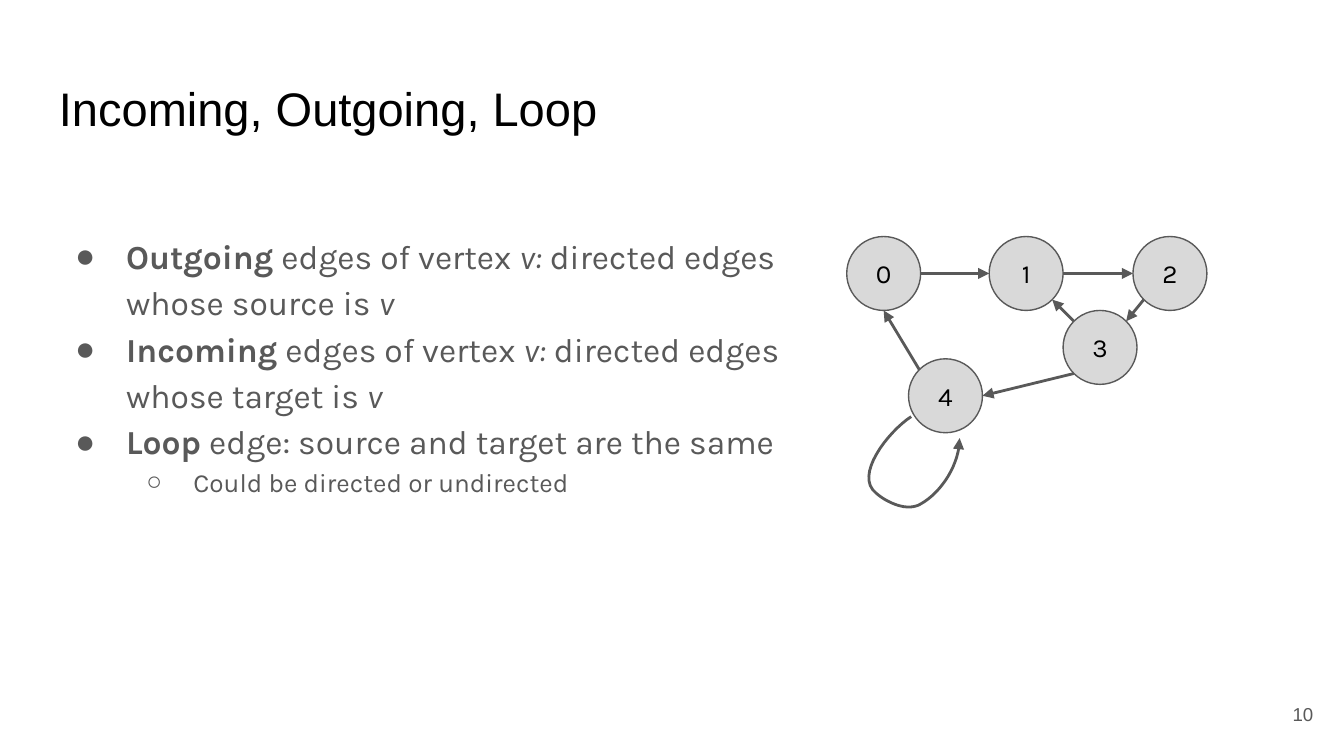
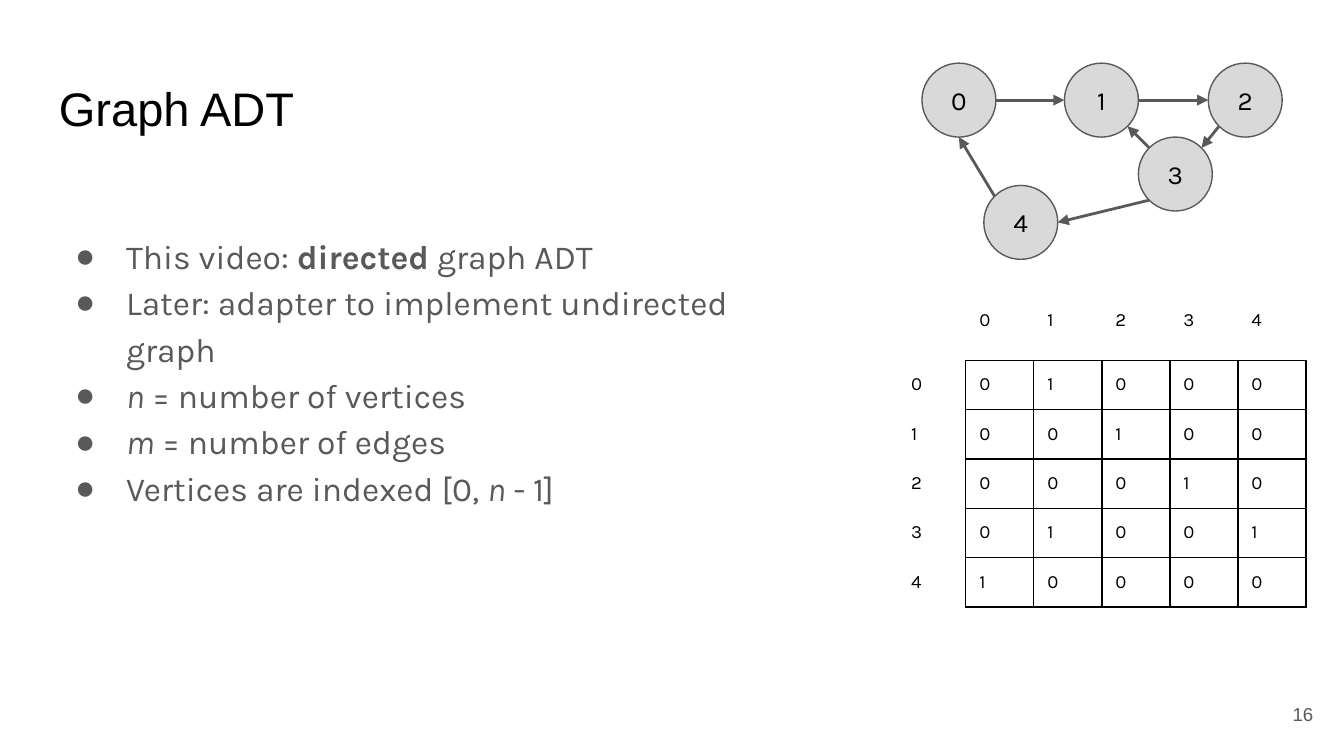
"""Build two slides on directed graphs: edge kinds and the graph ADT."""
from math import cos, pi, sin

from lxml import etree
from pptx import Presentation
from pptx.dml.color import RGBColor
from pptx.enum.shapes import MSO_CONNECTOR, MSO_SHAPE
from pptx.enum.text import MSO_ANCHOR, PP_ALIGN
from pptx.oxml.ns import qn
from pptx.util import Inches, Pt

STRAIGHT, ELLIPSE = MSO_CONNECTOR.STRAIGHT, MSO_SHAPE.OVAL
TOP, MIDDLE = MSO_ANCHOR.TOP, MSO_ANCHOR.MIDDLE
LEFT, CENTER, RIGHT = PP_ALIGN.LEFT, PP_ALIGN.CENTER, PP_ALIGN.RIGHT
BLACK, GREY, LIGHT = "000000", "595959", "D9D9D9"
HEAD_FONT, BODY_FONT = "Arial", "Karla"
WIDTH = 10
HEIGHT = WIDTH * 9 / 16
MARGIN = 0.1

BULLETS = [("●", 0.5, -0.38, 18), ("○", 1, -0.35, 14)]
DIAMETER = 0.55
NODES = [(0, 0), (1.06, 0), (2.13, 0), (1.61, 0.55), (0.46, 0.91)]
EAST, SOUTHEAST, SOUTH, SOUTHWEST, WEST, NORTHWEST, NORTH, NORTHEAST = range(8)
EDGES = [(0, EAST, 1, WEST), (1, EAST, 2, WEST),
         (2, SOUTHWEST, 3, NORTHEAST), (3, NORTHWEST, 1, SOUTHEAST),
         (3, SOUTHWEST, 4, EAST), (4, NORTHWEST, 0, SOUTH)]
LOOP_START = (0.48, 1.34)
LOOP_CURVES = [[(0.31, 1.45), (0.05, 1.78), (0.22, 1.91)],
               [(0.30, 1.98), (0.45, 2.05), (0.55, 1.99)],
               [(0.71, 1.90), (0.84, 1.69), (0.84, 1.50)]]
LOOP_STEPS = 16

SLIDES = [
    {"title": "Incoming, Outgoing, Loop", "number": "10",
     "body_width": 5.82, "graph": (6.3, 1.76), "loop": True, "matrix": False,
     "body": [
         (0, [("Outgoing", "b"), (" edges of vertex ", ""), ("v:", "i"),
              (" directed edges whose source is ", ""), ("v", "i")]),
         (0, [("Incoming", "b"), (" edges of vertex ", ""), ("v:", "i"),
              (" directed edges whose target is ", ""), ("v", "i")]),
         (0, [("Loop", "b"), (" edge: source and target are the same", "")]),
         (1, [("Could be directed or undirected", "")])]},
    {"title": "Graph ADT", "number": "16",
     "body_width": 5.57, "graph": (6.86, 0.47), "loop": False, "matrix": True,
     "body": [
         (0, [("This video: ", ""), ("directed", "b"), (" graph ADT", "")]),
         (0, [("Later: adapter to implement undirected graph", "")]),
         (0, [("n", "i"), (" = number of vertices", "")]),
         (0, [("m", "i"), (" = number of edges", "")]),
         (0, [("Vertices are indexed [0, ", ""), ("n", "i"), (" - 1]", "")])]},
]


def color(hex_string):
    return RGBColor.from_string(hex_string)


def write(frame, runs, size, font, ink, align=LEFT, anchor=TOP, para=None):
    settings = {"word_wrap": True, "vertical_anchor": anchor}
    for side in ("left", "right", "top", "bottom"):
        settings["margin_" + side] = Inches(MARGIN)
    for name, value in settings.items():
        setattr(frame, name, value)
    para = para or frame.paragraphs[0]
    para.alignment = align
    for text, style in runs:
        span = para.add_run()
        span.text = text
        look = {"size": Pt(size), "name": font,
                "bold": "b" in style, "italic": "i" in style}
        for name, value in look.items():
            setattr(span.font, name, value)
        span.font.color.rgb = color(ink)


deck = Presentation()
deck.slide_width, deck.slide_height = Inches(WIDTH), Inches(HEIGHT)

for content in SLIDES:
    page = deck.slides.add_slide(deck.slide_layouts[6])

    title = page.shapes.add_textbox(*map(Inches, (0.34, 0.49, 9.32, 0.63)))
    write(title.text_frame, [(content["title"], "")], 25.2, HEAD_FONT, BLACK)

    body = page.shapes.add_textbox(
        *map(Inches, (0.34, 1.61, content["body_width"], 3.39)))
    for index, (level, runs) in enumerate(content["body"]):
        frame = body.text_frame
        para = frame.add_paragraph() if index else frame.paragraphs[0]
        mark, indent, hanging, size = BULLETS[level]
        para.level, para.line_spacing = level, 1.15
        props = para._p.get_or_add_pPr()
        props.set("marL", str(Inches(indent)))
        props.set("indent", str(Inches(hanging)))
        tint = etree.SubElement(props, qn("a:buClr"))
        etree.SubElement(tint, qn("a:srgbClr"), val=GREY)
        etree.SubElement(props, qn("a:buFont"), typeface=HEAD_FONT)
        etree.SubElement(props, qn("a:buChar"), char=mark)
        write(frame, runs, size, BODY_FONT, GREY, para=para)

    number = page.shapes.add_textbox(*map(Inches, (9.27, 5.1, 0.6, 0.43)))
    write(number.text_frame, [(content["number"], "")], 10, HEAD_FONT, GREY,
          RIGHT, MIDDLE)

    left, top = content["graph"]
    graph = page.shapes.add_group_shape()
    for label, (x, y) in enumerate(NODES):
        node = graph.shapes.add_shape(
            ELLIPSE, *map(Inches, (left + x, top + y, DIAMETER, DIAMETER)))
        node.shadow.inherit = False
        node.fill.solid()
        node.fill.fore_color.rgb = color(LIGHT)
        node.line.color.rgb = color(GREY)
        node.line.width = Pt(0.75)
        write(node.text_frame, [(str(label), "")], 14, BODY_FONT, BLACK,
              CENTER, MIDDLE)

    arrows = []
    radius = DIAMETER / 2
    for source, leave, target, arrive in EDGES:
        ends = []
        for vertex, eighth in ((source, leave), (target, arrive)):
            x, y = NODES[vertex]
            ends += [left + x + radius * (1 + cos(eighth * pi / 4)),
                     top + y + radius * (1 + sin(eighth * pi / 4))]
        arrows.append(graph.shapes.add_connector(STRAIGHT, *map(Inches, ends)))

    if content["loop"]:
        points, start = [], LOOP_START
        for first, second, end in LOOP_CURVES:
            for step in range(1, LOOP_STEPS + 1):
                t = step / LOOP_STEPS
                weights = ((1 - t) ** 3, 3 * t * (1 - t) ** 2,
                           3 * t ** 2 * (1 - t), t ** 3)
                x, y = (sum(w * p for w, p in zip(weights, axis))
                        for axis in zip(start, first, second, end))
                points.append((Inches(left + x), Inches(top + y)))
            start = end
        outline = page.shapes.build_freeform(
            Inches(left + LOOP_START[0]), Inches(top + LOOP_START[1]))
        outline.add_line_segments(points, close=False)
        loop = outline.convert_to_shape()
        loop.fill.background()
        arrows.append(loop)

    for arrow in arrows:
        arrow.line.color.rgb = color(GREY)
        arrow.line.width = Pt(1.5)
        etree.SubElement(arrow.line._get_or_add_ln(), qn("a:tailEnd"),
                         type="triangle")
        etree.SubElement(arrow._element.spPr, qn("a:effectLst"))

    if content["matrix"]:
        count = len(NODES)
        links = {(source, target) for source, _, target, _ in EDGES}
        table_width, header, row_height = 3.04, 0.48, 0.36
        column = table_width / (count + 1)
        table = page.shapes.add_table(
            count + 1, count + 1,
            *map(Inches, (6.68, 2.2, table_width,
                          header + row_height * count))).table
        table.first_row = table.horz_banding = False
        for index in range(count + 1):
            table.columns[index].width = Inches(column)
            table.rows[index].height = Inches(row_height if index else header)
        for row in range(count + 1):
            for col in range(count + 1):
                cell = table.cell(row, col)
                if row and col:
                    text = str(int((row - 1, col - 1) in links))
                else:
                    text = str(row + col - 1)
                if row or col:
                    write(cell.text_frame, [(text, "")], 10, BODY_FONT, BLACK)
                    cell.margin_left = cell.margin_right = Inches(MARGIN)
                    cell.margin_top = cell.margin_bottom = Inches(MARGIN)
                edges = {"L": row and col, "R": row, "T": row and col, "B": col}
                for side, drawn in edges.items():
                    border = etree.SubElement(cell._tc.get_or_add_tcPr(),
                                              qn("a:ln" + side), w=str(Pt(0.75)))
                    if drawn:
                        paint = etree.SubElement(border, qn("a:solidFill"))
                        etree.SubElement(paint, qn("a:srgbClr"), val=BLACK)
                    else:
                        etree.SubElement(border, qn("a:noFill"))
                cell.fill.background()

deck.save("out.pptx")
